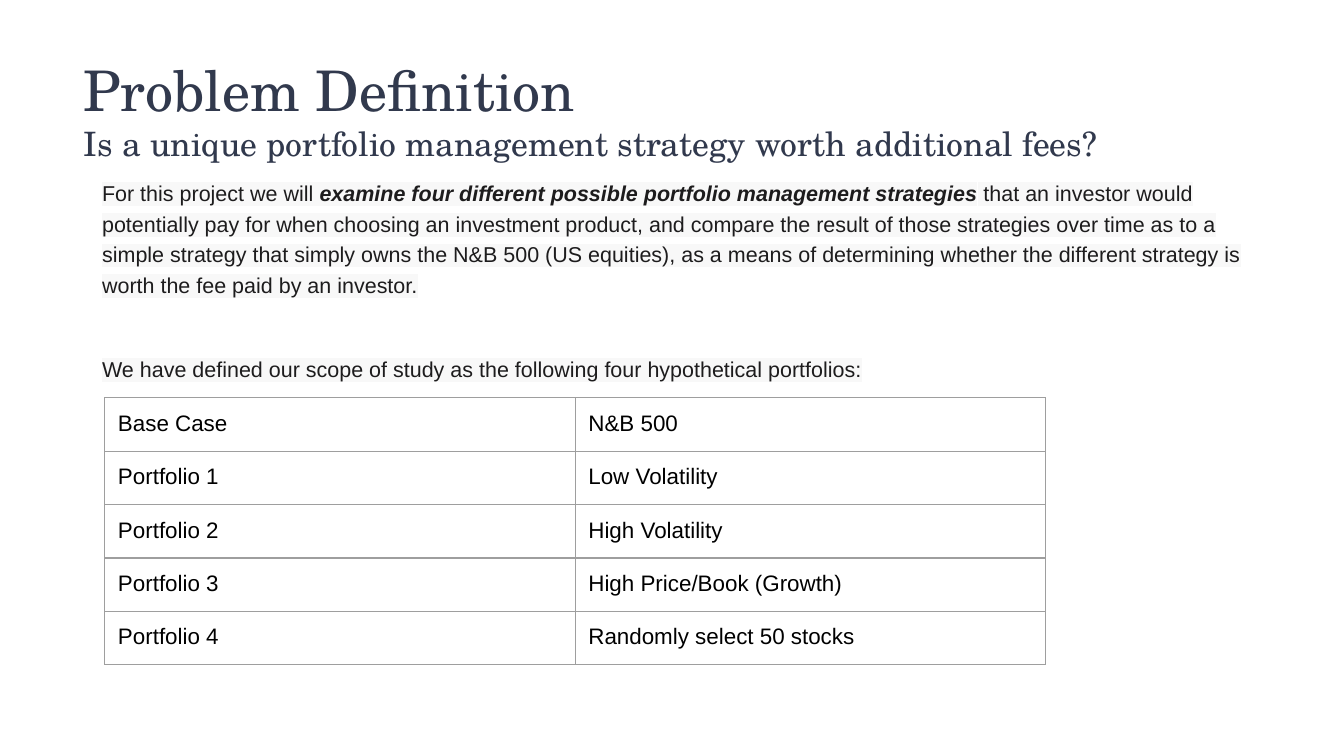
from dataclasses import dataclass

from lxml.etree import SubElement
from pptx import Presentation
from pptx.dml.color import RGBColor
from pptx.oxml.ns import qn
from pptx.util import Cm, Pt


@dataclass(frozen=True)
class Theme:
    heading_font: str = "TeX Gyre Schola"
    body_font: str = "Arial"
    heading: str = "31394D"
    body: str = "1D1C1D"
    highlight: str = "F8F8F8"
    cell: str = "000000"
    border: str = "9E9E9E"
    title_size: float = 30
    subtitle_size: float = 18
    body_size: float = 11.5
    cell_size: float = 12
    border_width: float = 0.75
    inset: float = 0.25


THEME = Theme()


def style(p, name, size, color):
    p.font.name = name
    p.font.size = Pt(size)
    p.font.color.rgb = RGBColor.from_string(color)


def set_margins(frame):
    for side in ("left", "top", "right", "bottom"):
        setattr(frame, f"margin_{side}", Cm(THEME.inset))


def add_text_frame(s, box):
    tf = s.shapes.add_textbox(*map(Cm, box)).text_frame
    tf.word_wrap = True
    set_margins(tf)
    return tf


def add_heading(s, box, title, subtitle):
    tf = add_text_frame(s, box)
    tf.text = f"{title}\n{subtitle}"
    for p, size in zip(tf.paragraphs, (THEME.title_size, THEME.subtitle_size)):
        style(p, THEME.heading_font, size, THEME.heading)


def add_body(s, box, paragraphs):
    tf = add_text_frame(s, box)
    for i, (space, runs) in enumerate(paragraphs):
        p = tf.add_paragraph() if i else tf.paragraphs[0]
        style(p, THEME.body_font, THEME.body_size, THEME.body)
        p.line_spacing = 1.2
        p.space_before = Pt(space)
        p._p.get_or_add_pPr().set("marL", str(Cm(1.27)))
        for text, strong in runs:
            r = p.add_run()
            r.text = text
            if strong:
                r.font.bold = r.font.italic = True
            mark = SubElement(r._r.get_or_add_rPr(), qn("a:highlight"))
            SubElement(mark, qn("a:srgbClr"), val=THEME.highlight)


def add_borders(cell):
    tcPr = cell._tc.get_or_add_tcPr()
    for side in ("lnL", "lnR", "lnT", "lnB"):
        ln = SubElement(tcPr, qn(f"a:{side}"), w=str(Pt(THEME.border_width)))
        fill = SubElement(ln, qn("a:solidFill"))
        SubElement(fill, qn("a:srgbClr"), val=THEME.border)


def add_portfolios(s, box, rows):
    table = s.shapes.add_table(len(rows), len(rows[0]), *map(Cm, box)).table
    table.first_row = table.horz_banding = False
    for i, row in enumerate(rows):
        for j, text in enumerate(row):
            cell = table.cell(i, j)
            cell.text = text
            set_margins(cell)
            add_borders(cell)
            cell.fill.background()
            style(cell.text_frame.paragraphs[0], THEME.body_font, THEME.cell_size, THEME.cell)


def main():
    prs = Presentation()
    prs.slide_width, prs.slide_height = Cm(25.4), Cm(14.29)
    s = prs.slides.add_slide(prs.slide_layouts[6])
    add_heading(
        s, (1.33, 0.81, 22.75, 2.13), "Problem Definition",
        "Is a unique portfolio management strategy worth additional fees?",
    )
    add_body(s, (0.41, 3.05, 23.3, 8.5), [
        (6, [
            ("For this project we will ", False),
            ("examine four different possible portfolio management strategies", True),
            (" that an investor would potentially pay for when choosing an investment "
             "product, and compare the result of those strategies over time as to a simple "
             "strategy that simply owns the N&B 500 (US equities), as a means of determining "
             "whether the different strategy is worth the fee paid by an investor.", False),
        ]),
        (28.5, [
            ("We have defined our scope of study as the following four hypothetical "
             "portfolios:", False),
        ]),
    ])
    add_portfolios(s, (1.98, 7.52, 17.78, 4.9), [
        ("Base Case", "N&B 500"),
        ("Portfolio 1", "Low Volatility"),
        ("Portfolio 2", "High Volatility"),
        ("Portfolio 3", "High Price/Book (Growth)"),
        ("Portfolio 4", "Randomly select 50 stocks"),
    ])
    prs.save("out.pptx")


if __name__ == "__main__":
    main()
